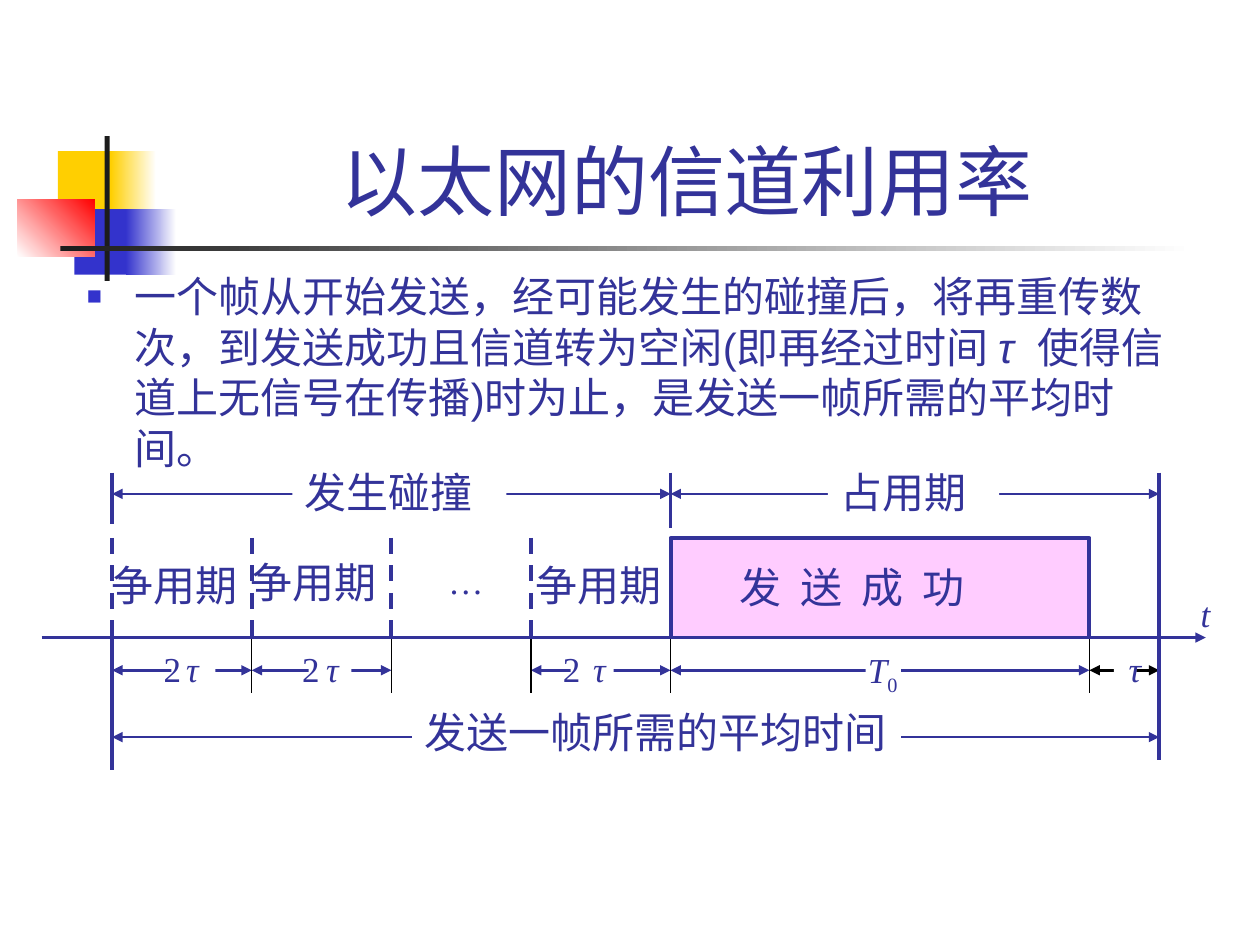
from pptx import Presentation
from pptx.dml.color import RGBColor
from pptx.enum.dml import MSO_LINE_DASH_STYLE as Dash
from pptx.enum.shapes import MSO_CONNECTOR as Connector, MSO_SHAPE as Shape
from pptx.enum.text import MSO_ANCHOR as Anchor, MSO_AUTO_SIZE as AutoSize, PP_ALIGN as Align
from pptx.oxml.ns import qn
from pptx.util import Inches, Pt
from lxml.etree import SubElement

NAVY, BLACK, WHITE, PINK = "333399", "000000", "FFFFFF", "FFCCFF"
YELLOW, BLUE, RED, CHARCOAL = "FFCF01", "3333CC", "FF0000", "1C1C1C"
SERIF, SANS = "Times New Roman", "Arial"

START, END, COLUMNS = 0.89, 9.2, 7.5
PITCH = (END - START) / COLUMNS
TOP, UPPER_ARROW, BLOCK_TOP, AXIS, MIDDLE_ARROW, TICK_END, LOWER_ARROW = (
    3.75, 3.92, 4.27, 5.06, 5.32, 5.5, 5.85)

TITLE = "以太网的信道利用率 "
BODY = [
    ("一个帧从开始发送，经可能发生的碰撞后，将再重传数次，到发送成功且信道转为空闲(即再经过时间 ", False, 0),
    ("τ ", True, 350),
    ("使得信道上无信号在传播)时为止，是发送一帧所需的平均时间。", False, 0),
]

ORNAMENTS = [
    ((0.46, 1.2, 0.48, 0.52), (YELLOW,), 0),
    ((0.88, 1.2, 0.36, 0.52), (YELLOW, WHITE), 0),
    ((0.59, 1.66, 0.46, 0.52), (BLUE,), 0),
    ((1, 1.66, 0.4, 0.52), (BLUE, WHITE), 0),
    ((0.14, 1.58, 0.61, 0.46), (WHITE, RED), 45),
    ((0.83, 1.08, 0.04, 1.15), (CHARCOAL,), 0),
    ((0.48, 1.95, 9, 0.04), (CHARCOAL, WHITE), 0),
]

SPANS = [
    (0, 7.5, LOWER_ARROW, NAVY),
    (0, 4, UPPER_ARROW, NAVY),
    (4, 7.5, UPPER_ARROW, NAVY),
    (7, 7.5, MIDDLE_ARROW, BLACK),
    (4, 7, MIDDLE_ARROW, NAVY),
    (3, 4, MIDDLE_ARROW, NAVY),
    (1, 2, MIDDLE_ARROW, NAVY),
    (0, 1, MIDDLE_ARROW, NAVY),
]
SPAN_GAPS = [
    (5.04, 5.68, 0.46, 0.44),
    (8.84, 5.22, 0.18, 0.23),
    (4.53, 5.2, 0.34, 0.29),
    (2.45, 5.12, 0.34, 0.25),
    (1.36, 5.07, 0.35, 0.36),
    (6.87, 5.15, 0.28, 0.35),
]
BOUNDARIES = [
    (0, AXIS, 6.11),
    (7.5, AXIS, 6.03),
    (4, TOP, 4.19),
    (7.5, TOP, AXIS),
    (0, TOP, 4.16),
]
DASHED_COLUMNS = [3, 2, 1, 0]
TICK_COLUMNS = [2, 3, 4, 7, 1]

PHRASES = [
    ("发 送 成 功", (5.77, 4.41, 2.7, 0.5), None, 275),
    ("争用期", (0.79, 4.39, 1.36, 0.5), None, 0),
    ("争用期", (1.89, 4.37, 1.36, 0.5), None, 0),
    ("争用期", (4.15, 4.39, 1.36, 0.5), None, 0),
    ("占用期", (6.57, 3.65, 1.36, 0.5), WHITE, 0),
    ("发生碰撞", (2.32, 3.65, 1.7, 0.5), WHITE, 0),
    ("发送一帧所需的平均时间", (3.27, 5.56, 3.88, 0.5), WHITE, 0),
]
SYMBOLS = [
    ("τ", True, (1.38, 5.09, 0.3, 0.44)),
    ("2", False, (1.2, 5.09, 0.34, 0.44)),
    ("τ", True, (2.49, 5.09, 0.3, 0.44)),
    ("2", False, (2.3, 5.09, 0.34, 0.44)),
    ("τ", True, (4.61, 5.09, 0.3, 0.44)),
    ("2", False, (4.37, 5.09, 0.34, 0.44)),
    ("T", True, (6.79, 5.1, 0.47, 0.48)),
    ("τ", True, (8.86, 5.09, 0.3, 0.44)),
    ("t", True, (9.43, 4.65, 0.27, 0.44)),
    ("…", False, (3.46, 4.39, 0.48, 0.44)),
]


def color(value):
    return RGBColor.from_string(value)


def column(number):
    return START + number * PITCH


def place(shape, box):
    for name, value in zip(("left", "top", "width", "height"), box):
        setattr(shape, name, Inches(value))


def add_run(paragraph, text, size, face, italic=False, spacing=0):
    run = paragraph.add_run()
    run.text = text
    formats = {"size": Pt(size), "name": face, "italic": italic, "bold": False}
    for name, value in formats.items():
        setattr(run.font, name, value)
    run.font.color.rgb = color(NAVY)
    if spacing:
        run.font._element.set("spc", str(spacing))
    return run


def add_rectangle(slide, box, colors, angle=0):
    shape = slide.shapes.add_shape(Shape.RECTANGLE, *map(Inches, box))
    shape.shadow.inherit = False
    shape.line.fill.background()
    if len(colors) == 1:
        shape.fill.solid()
        shape.fill.fore_color.rgb = color(colors[0])
        return
    shape.fill.gradient()
    shape.fill.gradient_angle = angle
    for stop, value, position in zip(shape.fill.gradient_stops, colors, (0, 1)):
        stop.color.rgb = color(value)
        stop.position = position


def add_line(slide, start, end, value=NAVY, width=2.25, dashed=False, arrows=()):
    line = slide.shapes.add_connector(Connector.STRAIGHT, *map(Inches, start + end))
    line.line.color.rgb = color(value)
    line.line.width = Pt(width)
    if dashed:
        line.line.dash_style = Dash.DASH
    properties = line._element.spPr
    for arrow in arrows:
        SubElement(properties.find(qn("a:ln")), qn(f"a:{arrow}"), type="triangle")
    SubElement(properties, qn("a:effectLst"))


def add_label(slide, text, box, size, italic=False, fill=None, spacing=0):
    label = slide.shapes.add_textbox(*map(Inches, box))
    label.text_frame.word_wrap = False
    label.text_frame.auto_size = AutoSize.SHAPE_TO_FIT_TEXT
    if fill:
        label.fill.solid()
        label.fill.fore_color.rgb = color(fill)
    paragraph = label.text_frame.paragraphs[0]
    add_run(paragraph, text, size, SERIF, italic, spacing)
    return paragraph


def fill_placeholders(slide):
    title, body = slide.placeholders
    place(title, (1.26, 0.24, 8.52, 1.6))
    place(body, (0.59, 2.1, 8.98, 2.52))
    for shape, anchor in ((title, Anchor.BOTTOM), (body, Anchor.TOP)):
        shape.text_frame.auto_size = AutoSize.NONE
        shape.text_frame.vertical_anchor = anchor
    heading = title.text_frame.paragraphs[0]
    heading.alignment = Align.CENTER
    add_run(heading, TITLE, 44, SANS)
    paragraph = body.text_frame.paragraphs[0]
    paragraph.space_before = Pt(0)
    properties = paragraph._element.get_or_add_pPr()
    properties.set("marL", str(Inches(0.38)))
    properties.set("indent", str(Inches(-0.38)))
    properties.set("hangingPunct", "0")
    SubElement(SubElement(properties, qn("a:buClr")), qn("a:srgbClr"), val=BLUE)
    SubElement(properties, qn("a:buSzPct"), val="60000")
    SubElement(properties, qn("a:buChar"), char="■")
    for text, italic, spacing in BODY:
        add_run(paragraph, text, 24, SANS, italic, spacing)


def add_success_block(slide):
    left, right = Inches(column(4)), Inches(column(7))
    top, bottom = Inches(BLOCK_TOP), Inches(AXIS)
    builder = slide.shapes.build_freeform(left, bottom)
    builder.add_line_segments([(left, top), (right, top), (right, bottom)], close=False)
    block = builder.convert_to_shape()
    block.shadow.inherit = False
    block.fill.solid()
    block.fill.fore_color.rgb = color(PINK)
    block.line.color.rgb = color(NAVY)
    block.line.width = Pt(2.25)


def add_timeline(slide):
    for first, last, y, value in SPANS:
        add_line(slide, (column(first), y), (column(last), y), value, 1.5,
                 arrows=("headEnd", "tailEnd"))
    for box in SPAN_GAPS:
        add_rectangle(slide, box, (WHITE,))
    add_success_block(slide)
    for number in DASHED_COLUMNS:
        add_line(slide, (column(number), BLOCK_TOP), (column(number), AXIS), dashed=True)
    for number in TICK_COLUMNS:
        add_line(slide, (column(number), AXIS), (column(number), TICK_END), BLACK, 0.75)
    for number, top, bottom in BOUNDARIES:
        add_line(slide, (column(number), top), (column(number), bottom))
    for text, box, fill, spacing in PHRASES:
        add_label(slide, text, box, 24, fill=fill, spacing=spacing)
    for text, italic, box in SYMBOLS:
        paragraph = add_label(slide, text, box, 20, italic)
        if text == "T":
            add_run(paragraph, "0", 20, SERIF).font._element.set("baseline", "-25000")
    add_line(slide, (0.33, AXIS), (9.57, AXIS), width=1.5, arrows=("tailEnd",))


def main():
    presentation = Presentation()
    presentation.slide_width, presentation.slide_height = Inches(10), Inches(7.5)
    slide = presentation.slides.add_slide(presentation.slide_layouts[1])
    for box, colors, angle in ORNAMENTS:
        add_rectangle(slide, box, colors, angle)
    fill_placeholders(slide)
    add_timeline(slide)
    presentation.save("out.pptx")


if __name__ == "__main__":
    main()
